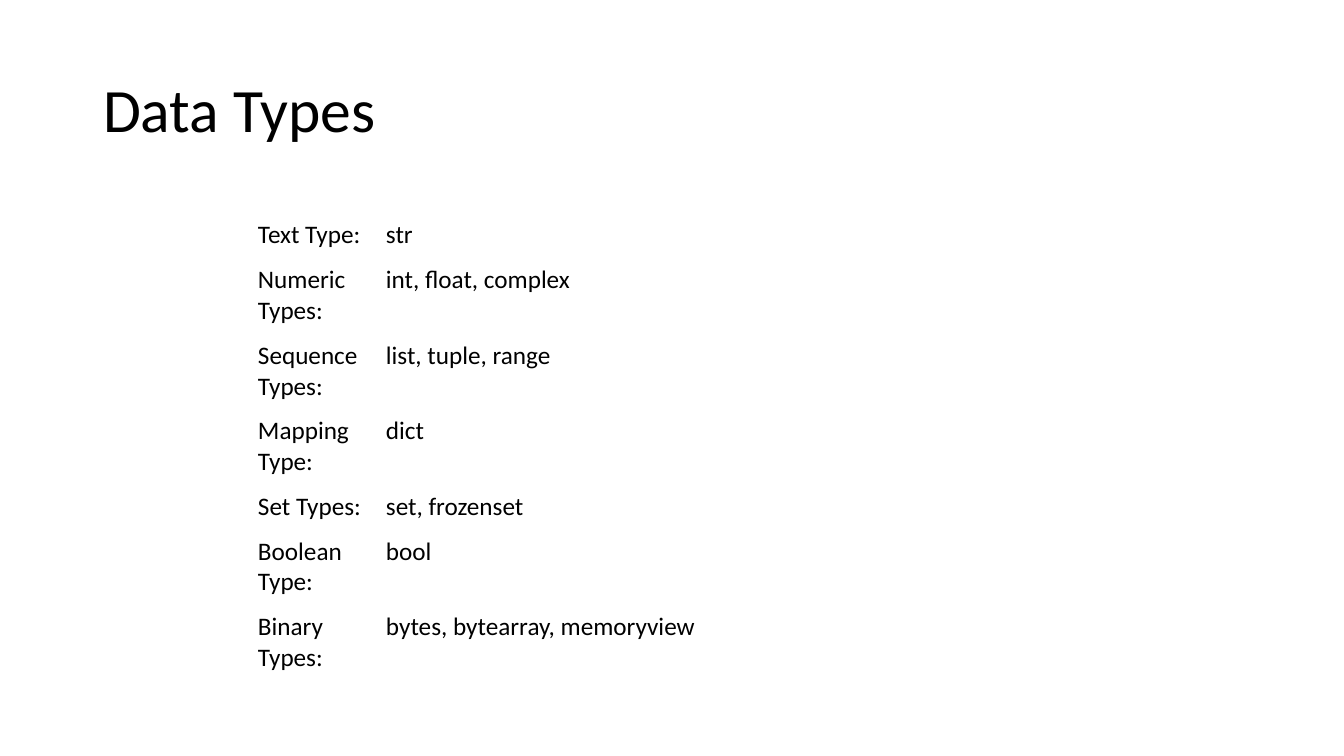
from pptx import Presentation
from pptx.dml.color import RGBColor
from pptx.enum.text import MSO_ANCHOR, MSO_AUTO_SIZE, PP_ALIGN
from pptx.util import Pt

EMU_PER_PIXEL = 914400 / 100.8
FONT = "Calibri"
COLORS = {"text": "000000", "background": "FFFFFF"}

TITLE_BOX = (93, 40, 1159, 146)
TABLE_LEFT, TABLE_TOP = 245, 213
COLUMN_WIDTHS = (134, 721)
ONE_LINE_HEIGHT, TWO_LINE_HEIGHT = 44, 75
CELL_MARGIN, FIRST_COLUMN_MARGIN = 7, 13

# Type category, its Python types, and the row height its label needs
DATA_TYPES = [
    ("Text Type:", "str", ONE_LINE_HEIGHT),
    ("Numeric Types:", "int,\u00a0float,\u00a0complex", TWO_LINE_HEIGHT),
    ("Sequence Types:", "list,\u00a0tuple,\u00a0range", TWO_LINE_HEIGHT),
    ("Mapping Type:", "dict", TWO_LINE_HEIGHT),
    ("Set Types:", "set,\u00a0frozenset", ONE_LINE_HEIGHT),
    ("Boolean Type:", "bool", TWO_LINE_HEIGHT),
    ("Binary Types:", "bytes,\u00a0bytearray,\u00a0memoryview", TWO_LINE_HEIGHT),
]


def pixels(length):
    return round(length * EMU_PER_PIXEL)


def set_attributes(target, values):
    for name, value in values.items():
        setattr(target, name, value)


def write_text(text_frame, text, size, paragraph_format):
    text_frame.text = text
    paragraph = text_frame.paragraphs[0]
    set_attributes(paragraph, paragraph_format)
    font = paragraph.runs[0].font
    set_attributes(font, {"name": FONT, "size": Pt(size), "bold": False})
    font.color.rgb = RGBColor.from_string(COLORS["text"])


def add_title(slide, text):
    title = slide.shapes.title
    left, top, width, height = map(pixels, TITLE_BOX)
    set_attributes(title, {"left": left, "top": top, "width": width, "height": height})
    set_attributes(title.text_frame, {
        "vertical_anchor": MSO_ANCHOR.MIDDLE,
        "auto_size": MSO_AUTO_SIZE.NONE,
        "word_wrap": True,
    })
    write_text(title.text_frame, text, 44,
               {"alignment": PP_ALIGN.LEFT, "line_spacing": 0.9})


def fill_cell(cell, text, left_margin):
    margin = pixels(CELL_MARGIN)
    set_attributes(cell, {
        "margin_left": pixels(left_margin),
        "margin_right": margin,
        "margin_top": margin,
        "margin_bottom": margin,
        "vertical_anchor": MSO_ANCHOR.TOP,
    })
    cell.fill.solid()
    cell.fill.fore_color.rgb = RGBColor.from_string(COLORS["background"])
    write_text(cell.text_frame, text, 18, {"alignment": PP_ALIGN.LEFT})


def add_type_table(slide):
    total_height = sum(height for _, _, height in DATA_TYPES)
    table = slide.shapes.add_table(
        len(DATA_TYPES), len(COLUMN_WIDTHS), pixels(TABLE_LEFT), pixels(TABLE_TOP),
        pixels(sum(COLUMN_WIDTHS)), pixels(total_height)).table
    set_attributes(table, {"first_row": False, "horz_banding": False})
    for column, width in zip(table.columns, COLUMN_WIDTHS):
        column.width = pixels(width)
    for row, (category, types, height) in zip(table.rows, DATA_TYPES):
        row.height = pixels(height)
        fill_cell(row.cells[0], category, FIRST_COLUMN_MARGIN)
        fill_cell(row.cells[1], types, CELL_MARGIN)


def main():
    presentation = Presentation()
    presentation.slide_width = pixels(1344)
    presentation.slide_height = pixels(756)

    # Title Only layout
    slide = presentation.slides.add_slide(presentation.slide_layouts[5])
    add_title(slide, "Data Types")
    add_type_table(slide)

    presentation.save("out.pptx")


main()
